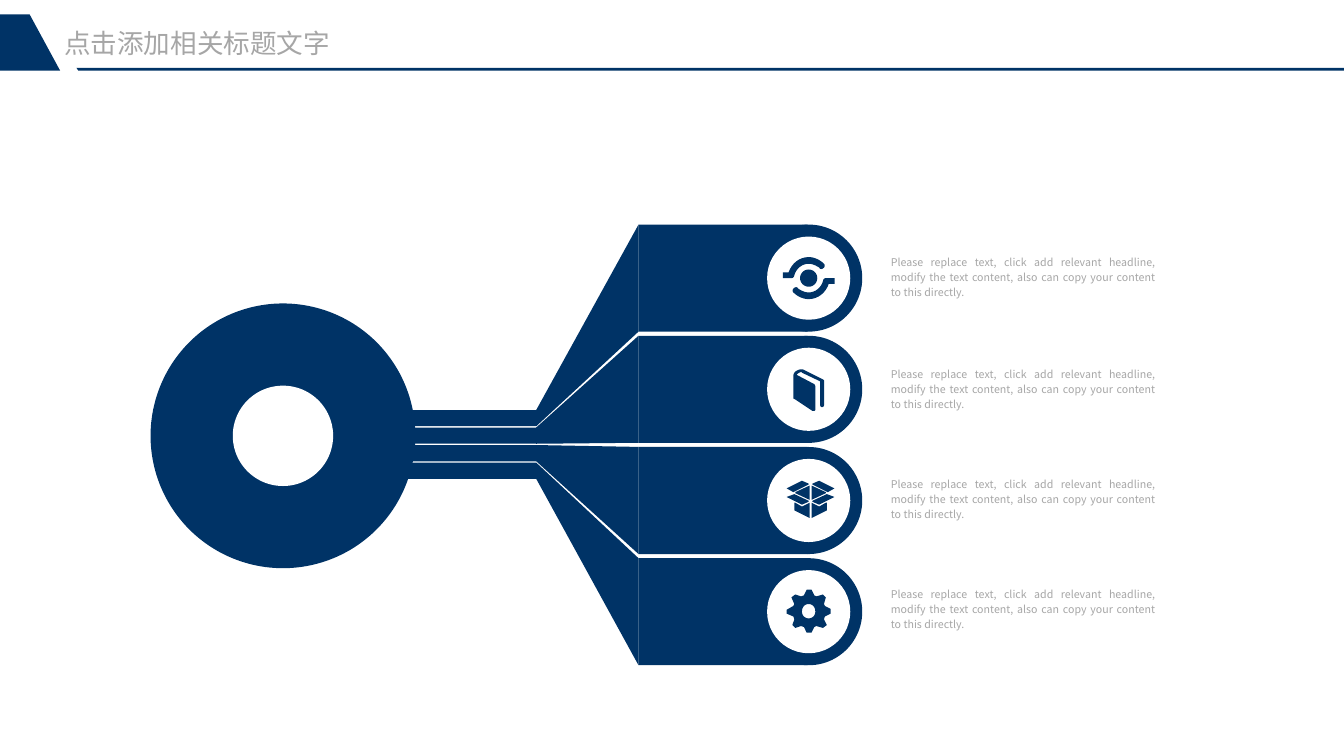
from pptx import Presentation
from pptx.dml.color import RGBColor
from pptx.enum import shapes, text
from pptx.util import Inches, Pt

NAVY = RGBColor(0x00, 0x33, 0x66)
WHITE = RGBColor(0xFF, 0xFF, 0xFF)
GREY = RGBColor(0xA6, 0xA6, 0xA6)

TITLE = "点击添加相关标题文字"
BODY = ("Please replace text, click add relevant headline, modify the text "
        "content, also can copy your content to this directly.")
TEXT_TOPS = [2.65, 3.82, 4.97, 6.12]

# Icon outlines in hundredths of an inch: a pair is a line end,
# six numbers are a Bezier curve (two controls, then the end)
SWOOSH = [(12, 19), (14, 12, 20, 7, 27, 7), (31, 7, 35, 9, 38, 11),
          (39, 13, 41, 13, 43, 11), (44, 10, 44, 8, 43, 7),
          (39, 3, 33, 0, 27, 0), (17, 0, 9, 7, 6, 16), (0, 16), (0, 22),
          (9, 22), (11, 22, 12, 20, 12, 19)]
PUPIL = [(18, 22), (18, 27, 22, 31, 27, 31), (32, 31, 36, 27, 36, 22),
         (36, 17, 32, 13, 27, 13), (22, 13, 18, 17, 18, 22)]
BOOK = [(31, 12), (11, 2), (8, 0, 2, 3, 1, 5), (0, 7, 0, 7, 0, 8), (0, 32),
        (2, 33), (20, 45), (22, 45), (23, 44), (23, 19), (22, 17), (3, 7),
        (4, 7, 4, 6, 6, 5), (8, 4, 9, 4, 9, 5), (28, 14), (28, 39),
        (28, 40, 29, 41, 30, 41), (31, 41, 32, 40, 32, 39), (32, 13)]
BOX_HALF = [[(9, 12), (24, 5), (24, 20), (9, 13)],
            [(23, 21), (8, 14), (0, 17), (16, 25), (23, 22)],
            [(23, 3), (16, 0), (0, 8), (7, 12), (23, 4)],
            [(8, 23), (9, 23), (16, 27), (24, 23), (24, 39), (8, 31)]]
GEAR = [(40, 28), (46, 25), (46, 20), (40, 17), (39, 15), (41, 8), (38, 5),
        (31, 7), (29, 6), (26, 0), (21, 0), (18, 6), (15, 7), (9, 5), (5, 8),
        (8, 15), (7, 17), (0, 21), (0, 25), (7, 28), (8, 31), (6, 37), (9, 40),
        (15, 38), (18, 39), (21, 45), (26, 45), (29, 39), (31, 38), (38, 40),
        (42, 37), (39, 31)]
GEAR_HOLE = [(23, 30), (19, 30, 16, 27, 16, 23), (16, 18, 19, 15, 23, 15),
             (27, 15, 30, 18, 30, 23), (30, 27, 27, 30, 23, 30)]


def flip(outline, width, height=None):
    """Mirror left to right, and top to bottom too if a height is given."""
    return [tuple(width - v if i % 2 == 0 else v if height is None else height - v
                  for i, v in enumerate(point)) for point in outline]


ICONS = [  # left, top, outlines
    (8.19, 2.69, [SWOOSH, flip(SWOOSH, 54, 44), PUPIL]),
    (8.30, 3.85, [BOOK]),
    (8.23, 5.03, BOX_HALF + [flip(o, 50) for o in BOX_HALF]),
    (8.23, 6.17, [GEAR, GEAR_HOLE]),
]

# Branch geometry
TAIL_X, FAN_X, ARM_X = 4.27, 5.61, 6.68
TAIL_TOP, TAIL_H, TAIL_STEP = 4.29, 0.17, 0.55 / 3
ARM_TOP, ARM_H, ARM_STEP = 2.35, 1.12, 3.49 / 3
ARM_W, CAP_CX, DISC_D = 1.77, 8.46, 0.87
HUB_CX, HUB_CY, HUB_D, HOLE_D = 2.96, 4.56, 2.77, 1.05

prs = Presentation()
prs.slide_width, prs.slide_height = Inches(14.06), Inches(7.91)
s = prs.slides.add_slide(prs.slide_layouts[5])


def paint(sp, color):
    sp.fill.solid()
    sp.fill.fore_color.rgb = color
    sp.line.fill.background()
    sp.shadow.inherit = False


def rect(x, y, w, h):
    paint(s.shapes.add_shape(shapes.MSO_SHAPE.RECTANGLE, Inches(x), Inches(y),
                             Inches(w), Inches(h)), NAVY)


def circle(cx, cy, d, color):
    paint(s.shapes.add_shape(shapes.MSO_SHAPE.OVAL, Inches(cx - d / 2),
                             Inches(cy - d / 2), Inches(d), Inches(d)), color)


def flatten(outline, steps=8):
    """Turn the curves of an outline into short lines."""
    points = [outline[0]]
    for point in outline[1:]:
        if len(point) == 2:
            points.append(point)
            continue
        x0, y0 = points[-1]
        x1, y1, x2, y2, x3, y3 = point
        for i in range(1, steps + 1):
            t = i / steps
            a, b, c, d = (1 - t) ** 3, 3 * t * (1 - t) ** 2, 3 * t * t * (1 - t), t ** 3
            points.append((a * x0 + b * x1 + c * x2 + d * x3,
                           a * y0 + b * y1 + c * y2 + d * y3))
    return points


def freeform(outlines, left=0, top=0, unit=1):
    builder = None
    for outline in outlines:
        points = [(Inches(left + x * unit), Inches(top + y * unit))
                  for x, y in flatten(outline)]
        if builder is None:
            builder = s.shapes.build_freeform(*points[0])
        else:
            builder.move_to(*points[0])
        builder.add_line_segments(points[1:], close=True)
    paint(builder.convert_to_shape(), NAVY)


def write(sp, content, size, font, align, spacing):
    tf = sp.text_frame
    tf.word_wrap = True
    tf.margin_left = tf.margin_right = tf.margin_top = tf.margin_bottom = 0
    p = tf.paragraphs[0]
    p.alignment, p.line_spacing = align, spacing
    r = p.add_run()
    r.text = content
    r.font.size, r.font.name = Pt(size), font
    r.font.color.rgb = GREY
    return tf


# Header
freeform([[(0.8, 0.71), (14.06, 0.71), (14.06, 0.74), (0.82, 0.74)]])
freeform([[(0.31, 0.15), (0.63, 0.74), (0, 0.74), (0, 0.15)]])
title = s.shapes.title
title.left, title.top = Inches(0.67), Inches(0.28)
title.width, title.height = Inches(3.35), Inches(0.34)
tf = write(title, TITLE, 20, "Arial", text.PP_ALIGN.LEFT, 1.0)
tf.vertical_anchor = text.MSO_ANCHOR.MIDDLE
tf.auto_size = text.MSO_AUTO_SIZE.NONE

# Branches with icons and captions
for i, (text_top, icon) in enumerate(zip(TEXT_TOPS, ICONS)):
    arm, tail = ARM_TOP + i * ARM_STEP, TAIL_TOP + i * TAIL_STEP
    rect(ARM_X, arm, ARM_W, ARM_H)
    rect(TAIL_X, tail, FAN_X - TAIL_X, TAIL_H)
    freeform([[(FAN_X, tail), (ARM_X, arm), (ARM_X, arm + ARM_H),
               (FAN_X, tail + TAIL_H)]])
    circle(CAP_CX, arm + ARM_H / 2, ARM_H, NAVY)
    circle(CAP_CX, arm + ARM_H / 2, DISC_D, WHITE)
    left, top, outlines = icon
    freeform(outlines, left, top, 0.01)
    caption = s.shapes.add_textbox(Inches(9.32), Inches(text_top),
                                   Inches(2.77), Inches(0.47))
    write(caption, BODY, 8, "Noto Sans CJK SC", text.PP_ALIGN.JUSTIFY, 1.2)

# Hub ring
circle(HUB_CX, HUB_CY, HUB_D, NAVY)
circle(HUB_CX, HUB_CY, HOLE_D, WHITE)

prs.save("out.pptx")
